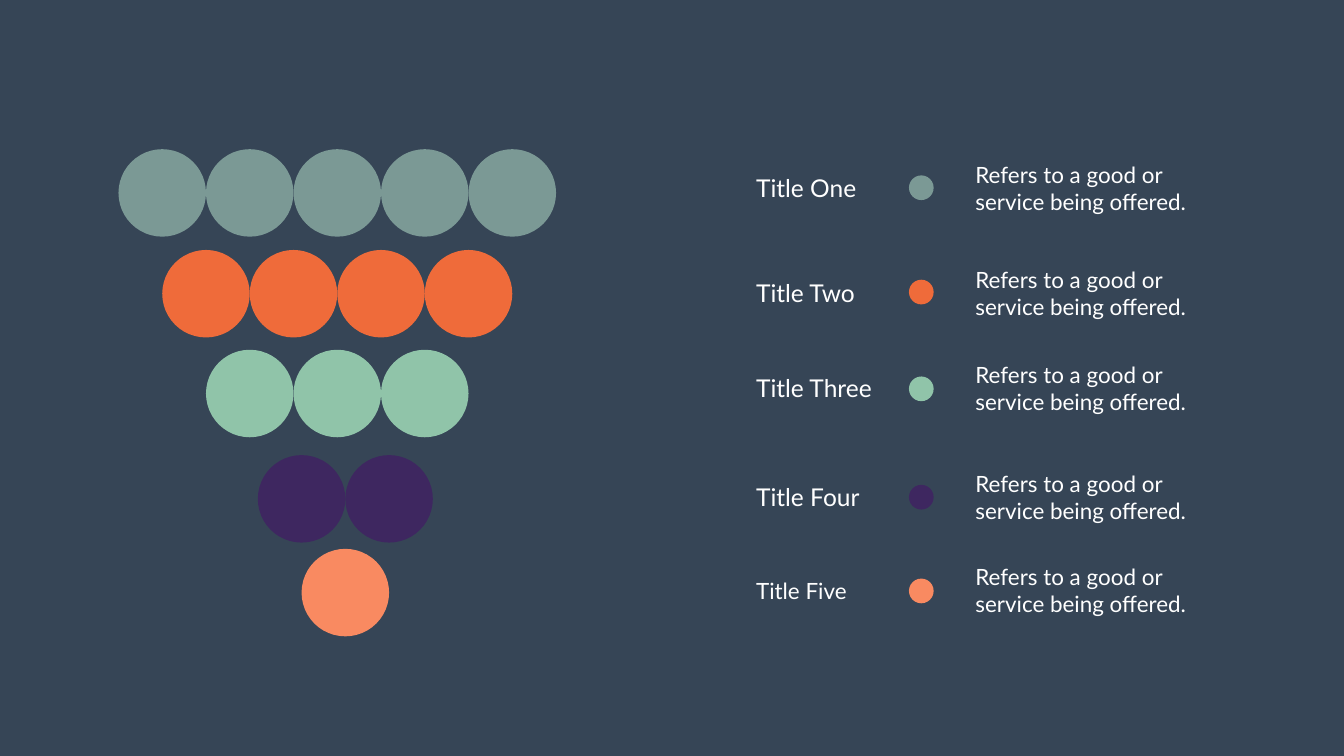
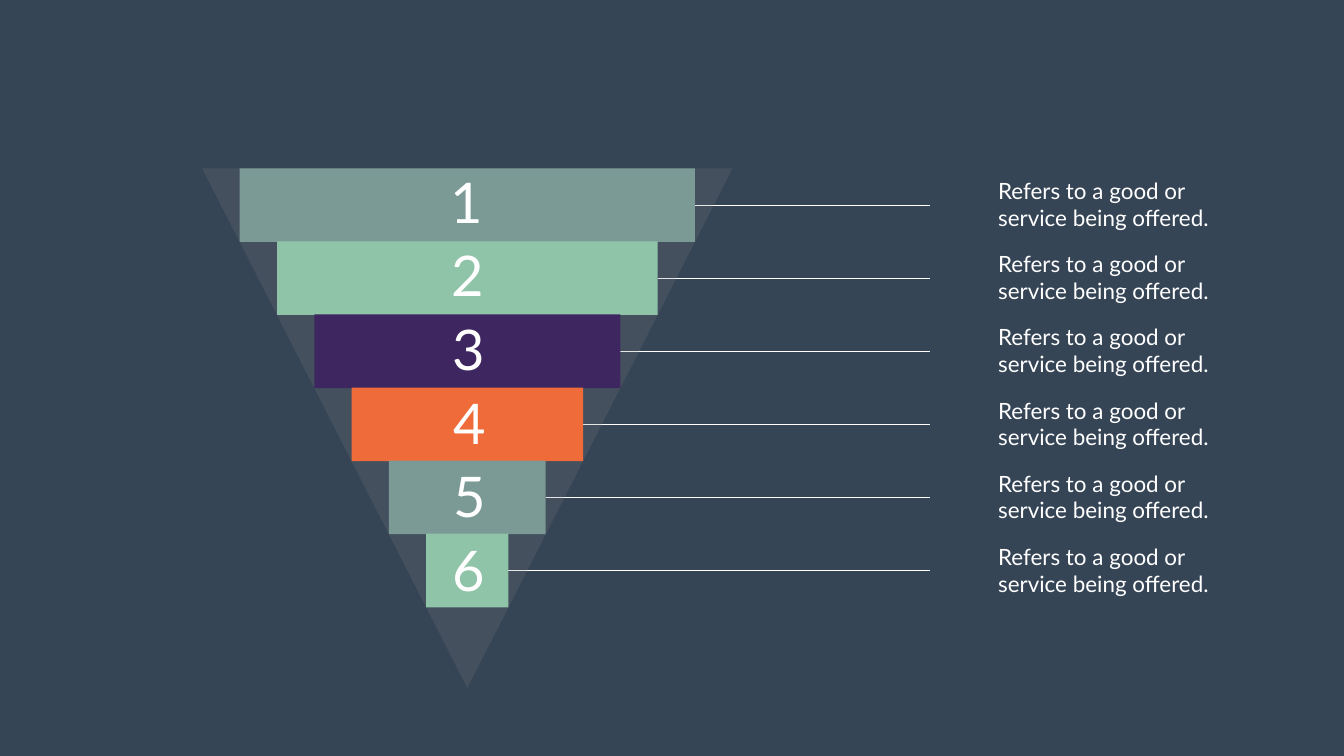
import pptx
import pptx.util
import pptx.dml.color
import pptx.enum.shapes
import pptx.enum.text
import pptx.oxml
import pptx.oxml.ns
from lxml import etree

Inches = pptx.util.Inches
Kind = pptx.enum.shapes.MSO_SHAPE

HUES = {
    "back": "364556",
    "sage": "7B9995",
    "orange": "EF6B3A",
    "mint": "90C4A9",
    "plum": "3E2760",
    "peach": "F98A61",
    "gray": "808080",
    "white": "FFFFFF",
}
FONT = "Lato"
BLURB = ["Refers to a good or", "service being offered."]


def color(name):
    return pptx.dml.color.RGBColor.from_string(HUES[name])


def paint(shape, hue):
    shape.shadow.inherit = False
    shape.fill.solid()
    shape.fill.fore_color.rgb = color(hue)
    shape.line.fill.background()


def draw(slide, kind, left, top, width, height, hue):
    shape = slide.shapes.add_shape(
        kind, Inches(left), Inches(top), Inches(width), Inches(height))
    paint(shape, hue)
    return shape


def write(slide, left, top, width, height, lines, size):
    frame = slide.shapes.add_textbox(
        Inches(left), Inches(top), Inches(width), Inches(height)).text_frame
    frame.word_wrap = False
    frame.auto_size = pptx.enum.text.MSO_AUTO_SIZE.SHAPE_TO_FIT_TEXT
    for i, line in enumerate(lines):
        para = frame.add_paragraph() if i else frame.paragraphs[0]
        run = para.add_run()
        run.text = line
        run.font.name = FONT
        run.font.size = pptx.util.Pt(size)
        run.font.color.rgb = color("white")


def describe(slide, left, top):
    write(slide, left, top, 4.46, 1.18, BLURB, 32)


def circles(slide, left, top, width):
    size = width / 5
    rows = [(5, 0, 0, "sage"), (4, 0, 2, "orange"), (3, 0, 3.98, "mint"),
            (2, 0.16, 6.07, "plum"), (1, 0.16, 7.93, "peach")]
    for count, shift, drop, hue in rows:
        start = left + (width - count * size) / 2 + shift
        for i in range(count):
            draw(slide, Kind.OVAL, start + i * size, top + drop, size, size, hue)


def legend(slide, left, top):
    rows = [("Title One", 2.21, 35, 0.24, 0.34, 0, "sage"),
            ("Title Two", 2.24, 35, 2.32, 2.41, 2.1, "orange"),
            ("Title Three", 2.55, 35, 4.21, 4.33, 3.98, "mint"),
            ("Title Four", 2.29, 35, 6.38, 6.48, 6.14, "plum"),
            ("Title Five", 2.02, 32, 8.26, 8.34, 7.99, "peach")]
    for title, width, size, head, dot, note, hue in rows:
        draw(slide, Kind.OVAL, left + 3.13, top + dot, 0.49, 0.49, hue)
        write(slide, left, top + head, width, size / 50, [title], size)
        describe(slide, left + 4.35, top + note)


def wedge(slide, left, top, width, height):
    maker = slide.shapes.build_freeform(Inches(left), Inches(top))
    maker.add_line_segments([
        (Inches(left + width), Inches(top)),
        (Inches(left + width / 2), Inches(top + height))])
    shape = maker.convert_to_shape()
    paint(shape, "gray")
    tint = shape.fill._xPr.find(".//" + pptx.oxml.ns.qn("a:srgbClr"))
    etree.SubElement(tint, pptx.oxml.ns.qn("a:alpha"), val="20000")


def leader(slide, start, end, level):
    line = slide.shapes.add_connector(
        pptx.enum.shapes.MSO_CONNECTOR.STRAIGHT,
        Inches(start), Inches(level), Inches(end), Inches(level))
    line.line.color.rgb = color("white")
    line.line.width = pptx.util.Pt(0.57)
    etree.SubElement(line._element.spPr, pptx.oxml.ns.qn("a:effectLst"))
    return line


def funnel(slide, left, top, width, height):
    hues = ["sage", "mint", "plum", "orange", "sage", "mint"]
    digits = [4.83, 4.84, 4.86, 4.89, 4.89, 4.86]
    step, tall = 1.45, 1.46
    mid = left + width / 2
    spans = [9.03 - 1.48 * i for i in range(len(hues))]
    lines = [leader(slide, mid + span / 2, left + 14.44, top + i * step + tall / 2)
             for i, span in enumerate(spans)]
    wedge(slide, left, top, width, height)
    for i, (line, span, hue) in enumerate(zip(lines, spans, hues)):
        bar = draw(slide, Kind.RECTANGLE, mid - span / 2, top + i * step,
                   span, tall, hue)
        line.begin_connect(bar, 3)
    for i, shift in enumerate(digits):
        write(slide, left + shift, top - 0.07 + i * tall, 0.85, 1.45,
              [str(i + 1)], 80)
        describe(slide, left + 15.69, top + 0.13 + i * step)


def main():
    deck = pptx.Presentation()
    deck.slide_width = Inches(26.66)
    deck.slide_height = Inches(15)
    back = deck.slide_master.background.fill
    back.solid()
    back.fore_color.rgb = color("back")
    blank = deck.slide_layouts[6]

    slide = deck.slides.add_slide(blank)
    circles(slide, 2.35, 2.96, 8.68)
    legend(slide, 14.9, 3.14)

    slide = deck.slides.add_slide(blank)
    funnel(slide, 4.01, 3.34, 10.52, 10.31)

    deck.save("out.pptx")


if __name__ == "__main__":
    main()
